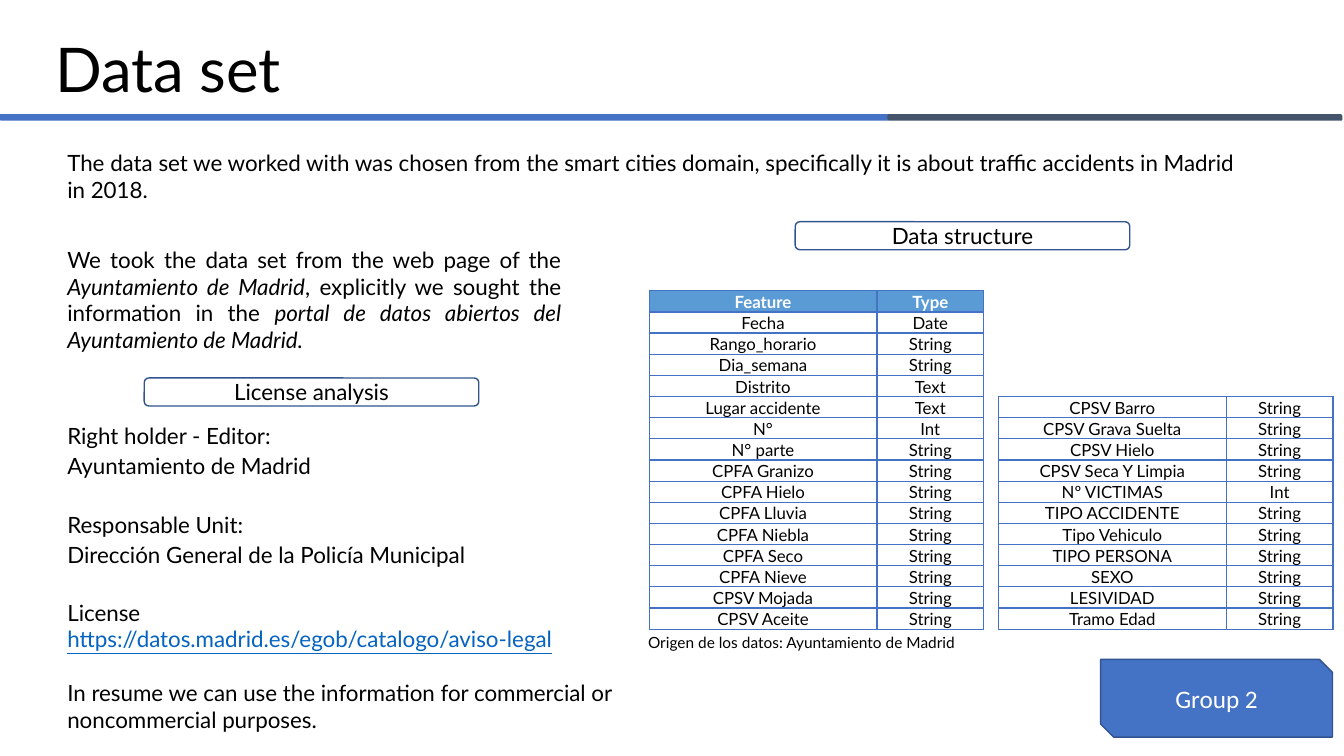
import lxml.etree
import pptx
import pptx.dml.color
import pptx.enum.shapes
import pptx.enum.text
import pptx.oxml.ns
import pptx.util

Pt = pptx.util.Pt
RGB = pptx.dml.color.RGBColor
SHAPE = pptx.enum.shapes.MSO_SHAPE
ALIGN = pptx.enum.text.PP_ALIGN
ANCHOR = pptx.enum.text.MSO_ANCHOR
qn = pptx.oxml.ns.qn

BLACK = RGB(0x00, 0x00, 0x00)
WHITE = RGB(0xFF, 0xFF, 0xFF)
BLUE = RGB(0x44, 0x72, 0xC4)
SLATE = RGB(0x44, 0x54, 0x6A)
NAVY = RGB(0x31, 0x53, 0x8F)
SKY = RGB(0x5B, 0x9B, 0xD5)
LINK = RGB(0x05, 0x63, 0xC1)

FIELDS = [
    ("Feature", "Type"),
    ("Fecha", "Date"),
    ("Rango_horario", "String"),
    ("Dia_semana", "String"),
    ("Distrito", "Text"),
    ("Lugar accidente", "Text"),
    ("N°", "Int"),
    ("N° parte", "String"),
    ("CPFA Granizo", "String"),
    ("CPFA Hielo", "String"),
    ("CPFA Lluvia", "String"),
    ("CPFA Niebla", "String"),
    ("CPFA Seco", "String"),
    ("CPFA Nieve", "String"),
    ("CPSV Mojada", "String"),
    ("CPSV Aceite", "String"),
]
MORE = [
    ("CPSV Barro", "String"),
    ("CPSV Grava Suelta", "String"),
    ("CPSV Hielo", "String"),
    ("CPSV Seca Y Limpia", "String"),
    ("Nº VICTIMAS", "Int"),
    ("TIPO ACCIDENTE", "String"),
    ("Tipo Vehiculo", "String"),
    ("TIPO PERSONA", "String"),
    ("SEXO", "String"),
    ("LESIVIDAD", "String"),
    ("Tramo Edad", "String"),
]
TERMS = [
    ("Right holder - Editor:", 1.07, 0),
    ("Ayuntamiento de Madrid", 1.12, 0),
    ("Responsable Unit:", 1.12, 20.5),
    ("Dirección General de la Policía Municipal", 1.12, 0),
    ("License", 1, 22),
    ("https://datos.madrid.es/egob/catalogo/aviso-legal", 1, 0),
    ("In resume we can use the information for commercial or "
     "noncommercial purposes.", 1, 19.2),
]


class Deck:
    font = "Lato"
    size = 16
    row = 15.1
    cols = (162.7, 76.3)

    def __init__(self):
        self.file = pptx.Presentation()
        self.file.slide_width = Pt(960)
        self.file.slide_height = Pt(540)
        self.slide = self.file.slides.add_slide(self.file.slide_layouts[6])

    def style(self, para, size=None, color=BLACK, font=None, bold=False):
        for run in para.runs:
            run.font.name = font or self.font
            run.font.size = Pt(size or self.size)
            run.font.color.rgb = color
            run.font.bold = bold

    def shape(self, kind, box, fill, line):
        item = self.slide.shapes.add_shape(kind, *map(Pt, box))
        item.shadow.inherit = False
        item.fill.solid()
        item.fill.fore_color.rgb = fill
        item.line.color.rgb = line
        item.line.width = Pt(1)
        return item

    def label(self, kind, box, text, fill=WHITE, **look):
        frame = self.shape(kind, box, fill, NAVY).text_frame
        frame.text = text
        frame.vertical_anchor = ANCHOR.MIDDLE
        para = frame.paragraphs[0]
        para.alignment = ALIGN.CENTER
        self.style(para, **look)

    def text(self, box, parts, align=ALIGN.LEFT, size=None):
        frame = self.slide.shapes.add_textbox(*map(Pt, box)).text_frame
        frame.word_wrap = True
        frame.auto_size = pptx.enum.text.MSO_AUTO_SIZE.SHAPE_TO_FIT_TEXT
        para = frame.paragraphs[0]
        para.alignment = align
        for spot, part in enumerate(parts):
            run = para.add_run()
            run.text = part
            run.font.italic = spot % 2 == 1
        self.style(para, size)
        return frame

    def terms(self, box, rows):
        frame = self.text(box, [])
        frame.text = "\n".join(text for text, _, _ in rows)
        for para, (text, space, gap) in zip(frame.paragraphs, rows):
            para.line_spacing = space
            para.space_before = Pt(gap)
            link = text.startswith("https")
            self.style(para, color=LINK if link else BLACK)
            para.runs[0].font.underline = link

    def cell(self, cell, text, head):
        cell.text = text
        cell.vertical_anchor = ANCHOR.BOTTOM
        cell.margin_left = cell.margin_right = cell.margin_top = Pt(0.7)
        cell.margin_bottom = Pt(0)
        para = cell.text_frame.paragraphs[0]
        para.alignment = ALIGN.CENTER
        self.style(para, 12, WHITE if head else BLACK, bold=head)
        props = cell._tc.get_or_add_tcPr()
        for side in ("a:lnL", "a:lnR", "a:lnT", "a:lnB"):
            line = lxml.etree.SubElement(props, qn(side), w=str(Pt(1)))
            fill = lxml.etree.SubElement(line, qn("a:solidFill"))
            lxml.etree.SubElement(fill, qn("a:srgbClr"), val=str(BLUE))
        if head:
            cell.fill.solid()
            cell.fill.fore_color.rgb = SKY
        else:
            cell.fill.background()

    def table(self, left, top, rows, head=False):
        size = (sum(self.cols), self.row * len(rows))
        grid = self.slide.shapes.add_table(
            len(rows), 2, Pt(left), Pt(top), *map(Pt, size)).table
        grid.first_row = head
        grid.horz_banding = False
        for col, width in zip(grid.columns, self.cols):
            col.width = Pt(width)
        for r, row in enumerate(rows):
            grid.rows[r].height = Pt(self.row)
            for c, text in enumerate(row):
                self.cell(grid.cell(r, c), text, head and r == 0)


def main():
    deck = Deck()
    snip = SHAPE.SNIP_2_DIAG_RECTANGLE
    pill = SHAPE.ROUNDED_RECTANGLE
    deck.shape(snip, (0, 82, 634.3, 3.6), BLUE, BLUE)
    deck.shape(snip, (634.3, 82, 324, 3.6), SLATE, SLATE)
    deck.label(snip, (786.2, 471, 165.6, 55.5), "Group 2", BLUE,
               size=18, color=WHITE, font="Calibri")
    deck.text((32.4, 18.7, 413.3, 60.5), ["Data set"], size=44)
    deck.text((41, 103, 848.2, 46), [
        "The data set we worked with was chosen from the smart cities domain, "
        "specifically it is about traffic accidents in Madrid in 2018.",
    ], ALIGN.JUSTIFY)
    deck.text((41, 172, 367.2, 85), [
        "We took the data set from the web page of the ",
        "Ayuntamiento de Madrid",
        ", explicitly we sought the information in the ",
        "portal de datos abiertos del Ayuntamiento de Madrid.",
    ], ALIGN.JUSTIFY)
    deck.label(pill, (103, 270, 239, 20), "License analysis")
    deck.terms((41, 296.6, 404.6, 221.8), TERMS)
    deck.table(463.7, 207.7, FIELDS, True)
    deck.table(713.2, 283.2, MORE)
    deck.label(pill, (568, 158.4, 239, 20), "Data structure")
    deck.text((455.8, 448.6, 367.2, 20.9),
              ["Origen de los datos: Ayuntamiento de Madrid"],
              ALIGN.JUSTIFY, 11)
    deck.file.save("out.pptx")


if __name__ == "__main__":
    main()
